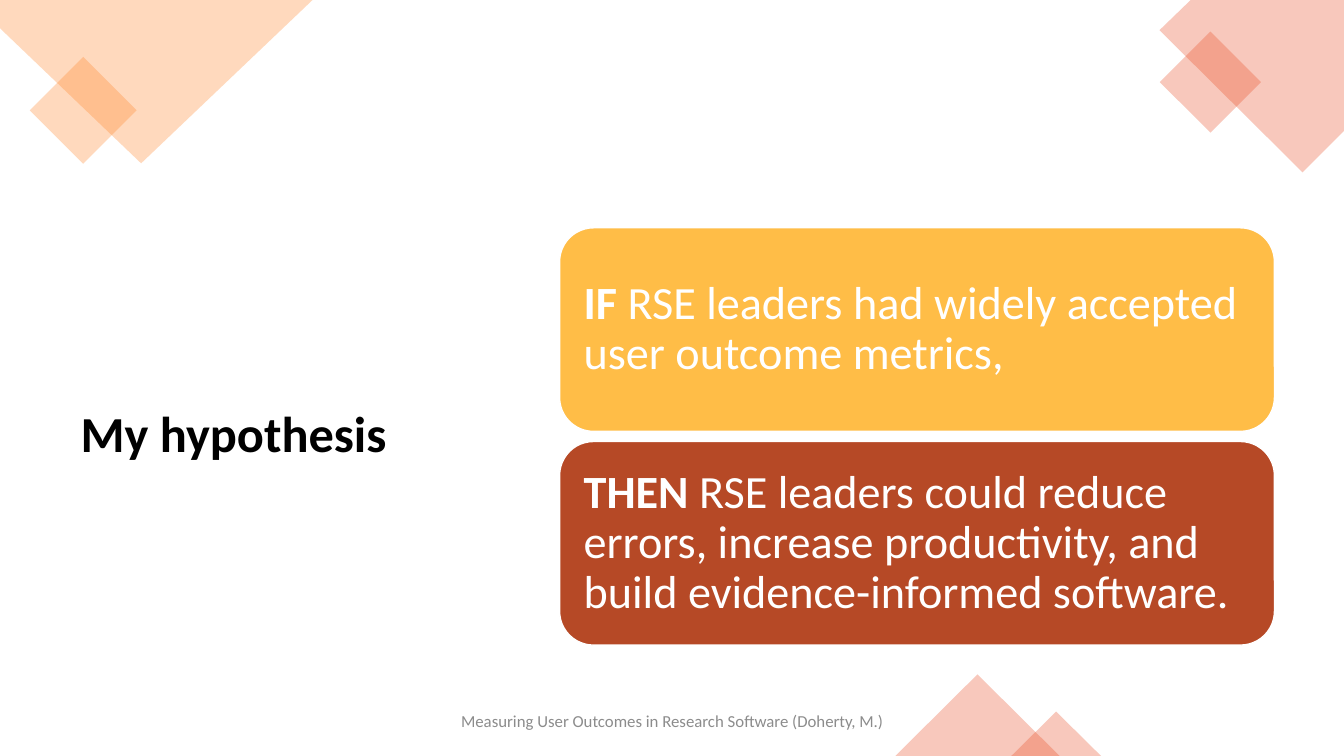
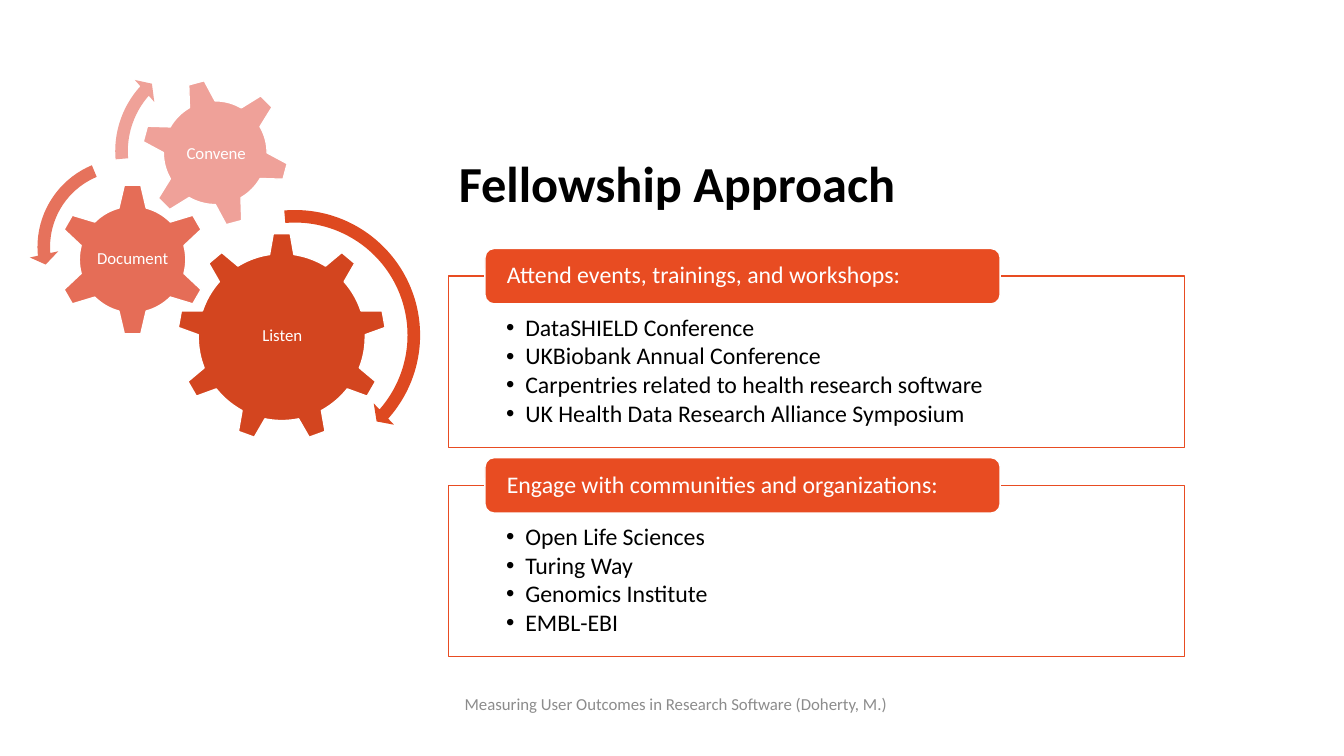
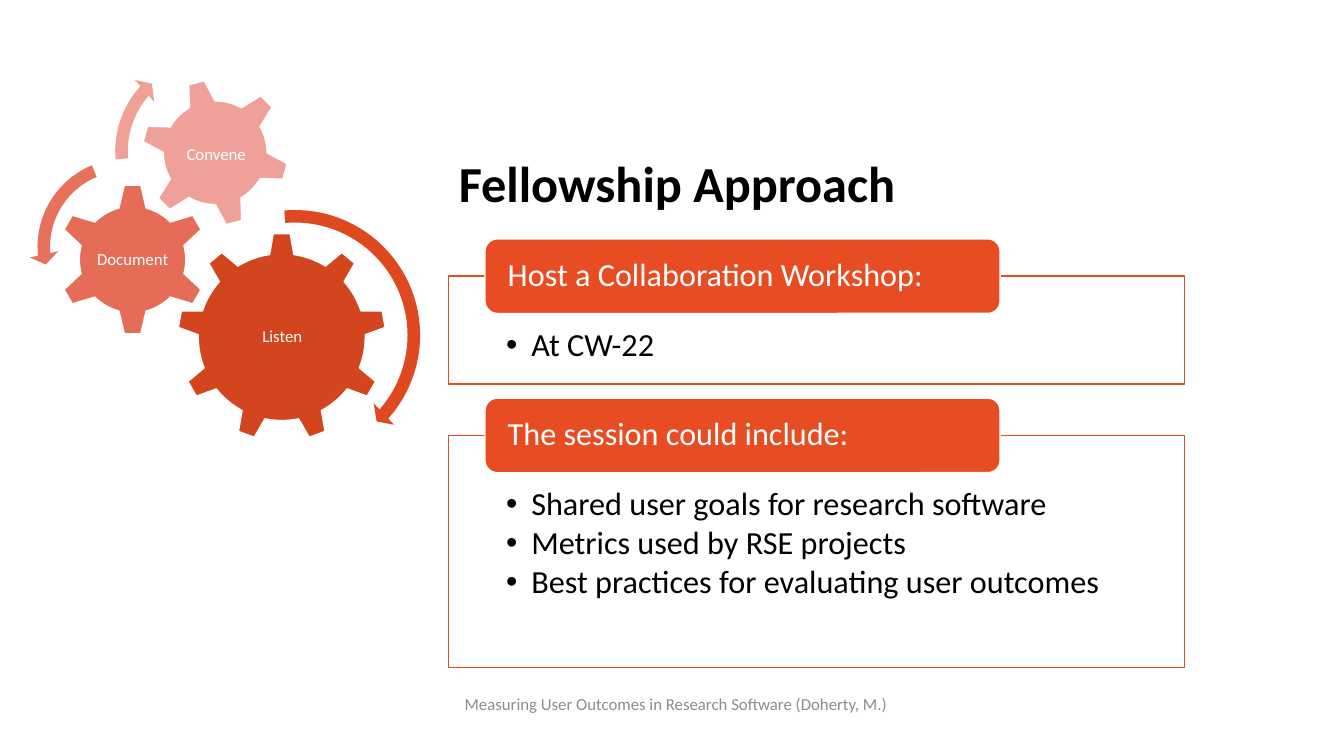
"""Build three slides on measuring user outcomes in research software."""
from dataclasses import dataclass

from lxml import etree
from pptx import Presentation
from pptx import util as u
from pptx.dml.color import RGBColor
from pptx.enum import shapes, text
from pptx.oxml.ns import qn

Inches, Pt = u.Inches, u.Pt
MSO, ALIGN, ANCHOR = shapes.MSO_SHAPE, text.PP_ALIGN, text.MSO_ANCHOR


@dataclass(frozen=True)
class Theme:
    font: str = "Calibri"
    black: str = "000000"
    white: str = "FFFFFF"
    grey: str = "8C8C8C"
    peach: str = "FF8427"
    orange: str = "E84C22"
    amber: str = "FFBD47"
    rust: str = "B64926"
    title: int = 36
    statement: int = 33
    small: int = 12


T = Theme()
FOOTER = "Measuring User Outcomes in Research Software (Doherty, M.)"

HYPOTHESIS = [
    (T.amber, "IF ", "RSE leaders had widely accepted user outcome metrics,"),
    (T.rust, "THEN", " RSE leaders could reduce errors, increase productivity, "
                     "and build evidence-informed software."),
]
CORNERS = [
    (T.peach, [(0, 0), (3.1, 0), (1.4, 1.62), (0, 0.28)]),
    (T.orange, [(11.81, 0), (13.33, 0), (13.33, 1.3), (12.92, 1.71), (11.5, 0.3)]),
]
ACCENTS = [
    (MSO.RECTANGLE, (0.45, 0.72, 0.75, 0.75), T.peach, 45),
    (MSO.RECTANGLE, (11.65, 0.46, 0.71, 0.71), T.orange, 45),
    (MSO.ISOSCELES_TRIANGLE, (8.88, 6.69, 1.63, 0.81), T.orange, 0),
    (MSO.ISOSCELES_TRIANGLE, (10.03, 7.06, 0.89, 0.44), T.orange, 0),
]
GEARS = [
    ("Listen", MSO.GEAR_9, (1.76, 2.31, 2.07, 2.07), "D3451F", 0, (2.18, 2.8, 1.24, 1.06)),
    ("Document", MSO.GEAR_6, (0.56, 1.82, 1.51, 1.51), "E56D57", 0, (0.94, 2.2, 0.75, 0.74)),
    ("Convene", MSO.GEAR_6, (1.4, 0.78, 1.47, 1.47), "EFA199", 345, (1.73, 1.11, 0.83, 0.83)),
]
ARROWS = [
    (MSO.CIRCULAR_ARROW, (1.6, 2, 2.65, 2.65), "DE4920",
     (0.047, 2.99, 24.952, 159.073, 0.055)),
    (MSO.LEFT_CIRCULAR_ARROW, (0.29, 1.49, 1.92, 1.92), "E6725C",
     (0.065, 4.3, 104.891, 148.378, 0.075)),
    (MSO.CIRCULAR_ARROW, (1.06, 0.46, 2.08, 2.08), "EFA198",
     (0.06, 3.941, 133.138, 105.082, 0.07)),
]
APPROACH = [
    dict(size=17, tab=0.55, gap=0.1, indent=0.19, top_inset=0.39, label_spacing=0.9, panels=[
        ("Attend events, trainings, and workshops:", 1.7,
         ["DataSHIELD Conference", "UKBiobank Annual Conference",
          "Carpentries related to health research software",
          "UK Health Data Research Alliance Symposium"]),
        ("Engage with communities and organizations:", 1.7,
         ["Open Life Sciences", "Turing Way", "Genomics Institute", "EMBL-EBI"]),
    ]),
    dict(size=23, tab=0.74, gap=0.14, indent=0.25, top_inset=0.52, label_spacing=1.0, panels=[
        ("Host a Collaboration Workshop:", 1.07, ["At CW-22"]),
        ("The session could include:", 2.3,
         ["Shared user goals for research software", "Metrics used by RSE projects",
          "Best practices for evaluating user outcomes"]),
    ]),
]


def box(at):
    return [Inches(v) for v in at]


def paint(sp, fill, line=None, alpha=None, rotation=0):
    sp.shadow.inherit = False
    sp.rotation = rotation
    sp.fill.solid()
    sp.fill.fore_color.rgb = RGBColor.from_string(fill)
    if alpha:
        color = sp.fill._xPr.find(qn("a:solidFill"))[0]
        etree.SubElement(color, qn("a:alpha"), val=str(alpha * 1000))
    if line:
        sp.line.color.rgb = RGBColor.from_string(line)
        sp.line.width = Pt(1)
    else:
        sp.line.fill.background()
    return sp


def shape(s, kind, at, fill, **look):
    return paint(s.shapes.add_shape(kind, *box(at)), fill, **look)


def write(sp, paragraphs, size, color, anchor=ANCHOR.MIDDLE, align=ALIGN.LEFT,
          insets=(0.1, 0.05, 0.1, 0.05), spacing=0.9, indent=0):
    """Fill a shape with paragraphs, each a list of (text, bold) runs."""
    tf = sp.text_frame
    sides = ("margin_left", "margin_top", "margin_right", "margin_bottom")
    frame = dict(zip(sides, box(insets)), word_wrap=True,
                 auto_size=text.MSO_AUTO_SIZE.NONE, vertical_anchor=anchor)
    for name, value in frame.items():
        setattr(tf, name, value)
    for i, runs in enumerate(paragraphs):
        p = tf.add_paragraph() if i else tf.paragraphs[0]
        p.alignment, p.line_spacing = align, spacing
        if indent:
            p.space_after = Pt(round(size * 0.13, 1))
            pPr = p._p.get_or_add_pPr()
            pPr.set("marL", str(Inches(indent)))
            pPr.set("indent", str(-Inches(indent)))
            etree.SubElement(pPr, qn("a:buFont"), typeface="Arial")
            etree.SubElement(pPr, qn("a:buChar"), char="•")
        for words, bold in runs:
            r = p.add_run()
            r.text = words
            for name, value in dict(name=T.font, size=Pt(size), bold=bold).items():
                setattr(r.font, name, value)
            r.font.color.rgb = RGBColor.from_string(color)


def add_slide(prs, title, at, anchor):
    s = prs.slides.add_slide(prs.slide_layouts[5])
    sp = s.shapes.title
    sp.left, sp.top, sp.width, sp.height = box(at)
    write(sp, [[(title, True)]], T.title, T.black, anchor)
    return s


def add_footer(s, at, align):
    write(s.shapes.add_textbox(*box(at)), [[(FOOTER, False)]], T.small, T.grey,
          align=align, spacing=1.0)


def add_hypothesis(prs):
    s = add_slide(prs, "My hypothesis", (0.7, 1.86, 4.33, 4.94), ANCHOR.MIDDLE)
    for color, points in CORNERS:
        start, *rest = [box(point) for point in points]
        outline = s.shapes.build_freeform(*start)
        outline.add_line_segments(rest)
        paint(outline.convert_to_shape(), color, alpha=30)
    for kind, at, color, rotation in ACCENTS:
        shape(s, kind, at, color, alpha=30, rotation=rotation)
    add_footer(s, (4.42, 6.95, 4.5, 0.4), ALIGN.CENTER)
    for i, (color, lead, rest) in enumerate(HYPOTHESIS):
        card = shape(s, MSO.ROUNDED_RECTANGLE, (5.55, 2.26 + 2.12 * i, 7.09, 2.02),
                     color, line=T.white)
        write(card, [[(lead, True), (rest, False)]], T.statement, T.white,
              insets=[0.14] * 4)


def add_gears(s, spacing):
    for label, kind, at, color, rotation, label_at in GEARS:
        shape(s, kind, at, color, line=T.white, rotation=rotation)
        write(s.shapes.add_textbox(*box(label_at)), [[(label, False)]], T.small, T.white,
              align=ALIGN.CENTER, insets=[0.02] * 4, spacing=spacing)
    for kind, at, color, adjustments in ARROWS:
        arrow = shape(s, kind, at, color)
        for i, value in enumerate(adjustments):
            arrow.adjustments[i] = value


def add_approach(prs, size, tab, gap, indent, top_inset, label_spacing, panels):
    s = add_slide(prs, "Fellowship Approach", (4.45, 0.69, 7.3, 1.48), ANCHOR.BOTTOM)
    top = 2.74
    for heading, height, items in panels:
        panel = shape(s, MSO.RECTANGLE, (4.45, top, 7.3, height), T.white,
                      line=T.orange, alpha=90)
        write(panel, [[(item, False)] for item in items], size, T.black, ANCHOR.TOP,
              insets=(0.57, top_inset, 0.57, 0.15), indent=indent)
        header = shape(s, MSO.ROUNDED_RECTANGLE, (4.81, top - tab / 2, 5.11, tab),
                       T.orange, line=T.white)
        write(header, [[(heading, False)]], size, T.white, insets=(0.19, 0, 0.19, 0))
        top += height + gap + tab / 2
    add_footer(s, (4.51, 6.81, 7.95, 0.35), ALIGN.LEFT)
    add_gears(s, label_spacing)


def main():
    prs = Presentation()
    prs.slide_width, prs.slide_height = Inches(13.33), Inches(7.5)
    add_hypothesis(prs)
    for content in APPROACH:
        add_approach(prs, **content)
    prs.save("out.pptx")


if __name__ == "__main__":
    main()
